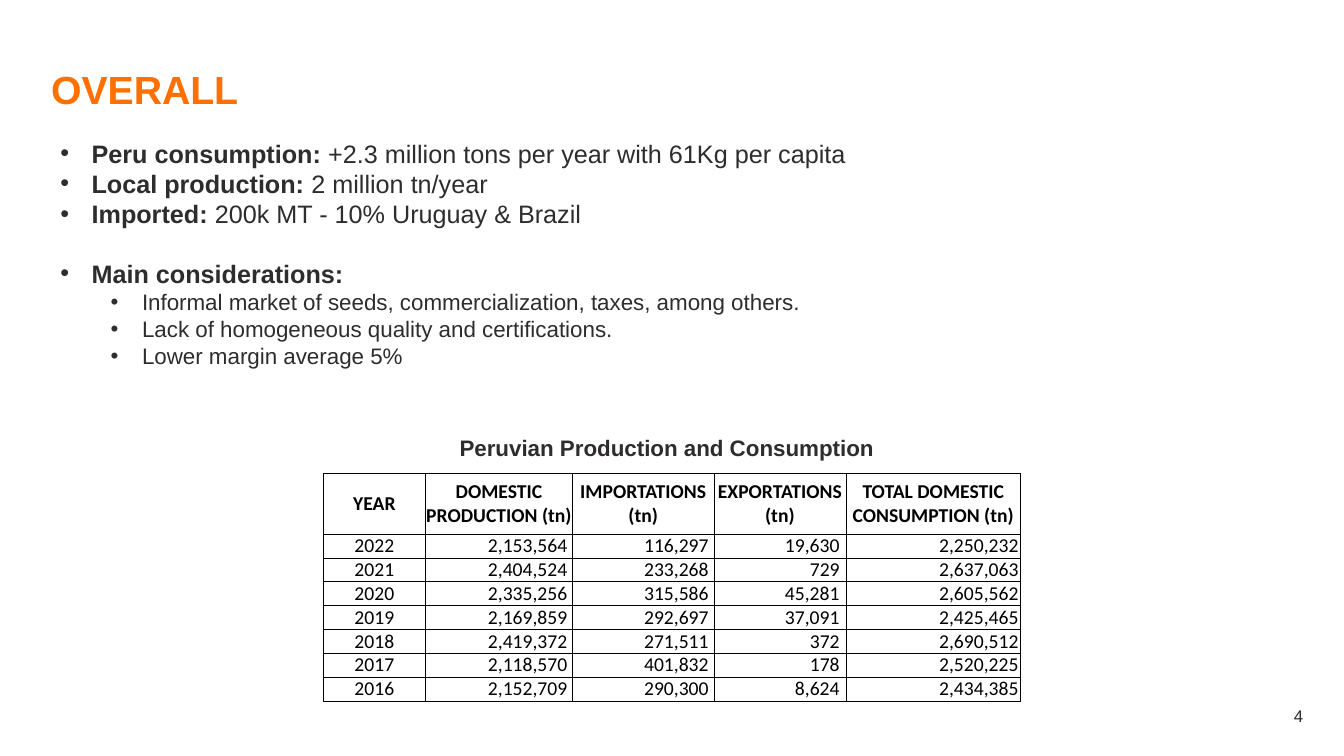
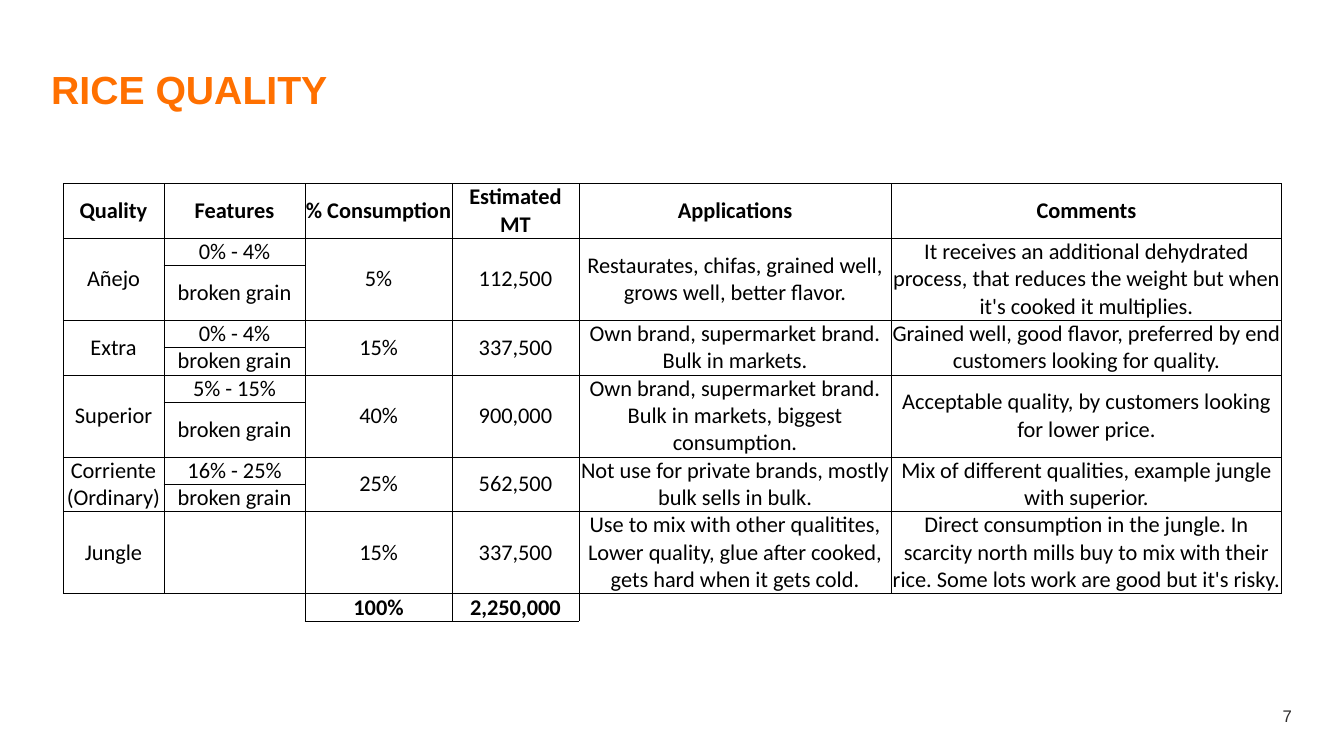
from dataclasses import dataclass

from lxml.etree import SubElement
from pptx import Presentation
from pptx.dml.color import RGBColor
from pptx.enum.text import MSO_ANCHOR, PP_ALIGN
from pptx.oxml import parse_xml
from pptx.oxml.ns import nsdecls, qn
from pptx.slide import Slide
from pptx.table import Table, _Cell
from pptx.text.text import TextFrame, _Paragraph
from pptx.util import Cm, Pt

ORANGE = RGBColor(0xFF, 0x70, 0x00)
GREY = RGBColor(0x2E, 0x2C, 0x2C)
BLACK = RGBColor(0x00, 0x00, 0x00)
SANS = "Arial"
GRID = "Calibri"
NO_STYLE = "{2D5ABB26-0587-4C30-8999-92F81FD0307C}"


@dataclass(frozen=True)
class Box:
    left: float
    top: float
    width: float
    height: float


@dataclass(frozen=True)
class Point:
    lead: str
    text: str = ""
    level: int = 0
    gap: float = 0


@dataclass(frozen=True)
class Grade:
    name: str
    range: str
    share: str
    tons: str
    uses: str
    notes: str
    lower: float  # height of the second line of the row


TITLE = Box(1.04, 1.65, 31.8, 1.42)

POINTS = [
    Point("Peru consumption:", " +2.3 million tons per year with 61Kg per capita"),
    Point("Local production:", " 2 million tn/year"),
    Point("Imported:", " 200k MT - 10% Uruguay & Brazil"),
    Point("Main considerations:", gap=21),
    Point("", "Informal market of seeds, commercialization, taxes, among others.", 1),
    Point("", "Lack of homogeneous quality and certifications.", 1),
    Point("", "Lower margin average 5%", 1),
]

TRADE = [
    ("YEAR", "DOMESTIC PRODUCTION (tn)", "IMPORTATIONS (tn)",
     "EXPORTATIONS (tn)", "TOTAL DOMESTIC CONSUMPTION (tn)"),
    ("2022", "2,153,564", "116,297", "19,630", "2,250,232"),
    ("2021", "2,404,524", "233,268", "729", "2,637,063"),
    ("2020", "2,335,256", "315,586", "45,281", "2,605,562"),
    ("2019", "2,169,859", "292,697", "37,091", "2,425,465"),
    ("2018", "2,419,372", "271,511", "372", "2,690,512"),
    ("2017", "2,118,570", "401,832", "178", "2,520,225"),
    ("2016", "2,152,709", "290,300", "8,624", "2,434,385"),
]
TRADE_COLS = [2.57, 3.71, 3.56, 3.33, 4.4]
TRADE_PADS = [0, 0.13, 0.13, 0.16, 0.05]

HEADS = ("Quality", "Features", "% Consumption", "Estimated MT",
         "Applications", "Comments")
GRADES = [
    Grade("Añejo", "0% - 4%", "5%", "112,500",
          "Restaurates, chifas, grained well, grows well, better flavor.",
          "It receives an additional dehydrated process, that reduces the weight "
          "but when it's cooked it multiplies.", 1.38),
    Grade("Extra", "0% - 4%", "15%", "337,500",
          "Own brand, supermarket brand. Bulk in markets.",
          "Grained well, good flavor, preferred by end customers looking "
          "for quality.", 0.69),
    Grade("Superior", "5% - 15%", "40%", "900,000",
          "Own brand, supermarket brand. Bulk in markets, biggest consumption.",
          "Acceptable quality, by customers looking for lower price.", 1.38),
    Grade("Corriente (Ordinary)", "16% - 25%", "25%", "562,500",
          "Not use for private brands, mostly bulk sells in bulk.",
          "Mix of different qualities, example jungle with superior.", 0.69),
]
JUNGLE = ("Jungle", "", "15%", "337,500",
          "Use to mix with other qualitites, Lower quality, glue after cooked, "
          "gets hard when it gets cold.",
          "Direct consumption in the jungle. In scarcity north mills buy to mix "
          "with their rice. Some lots work are good but it's risky.")
TOTALS = ("", "", "100%", "2,250,000", "", "")
GRADE_COLS = [2.54, 3.56, 3.7, 3.2, 7.87, 9.84]
LINE = 0.69


# Text
def style(para: _Paragraph, size: float, color: RGBColor,
          bold: bool | None = False, face: str = SANS) -> None:
    font = para.font
    font.name, font.size, font.bold = face, Pt(size), bold
    font.color.rgb = color


def add_frame(slide: Slide, box: Box, inset: bool = True) -> TextFrame:
    shape = slide.shapes.add_textbox(
        Cm(box.left), Cm(box.top), Cm(box.width), Cm(box.height))
    frame = shape.text_frame
    frame.word_wrap = True
    if not inset:
        frame.margin_left = frame.margin_right = 0
        frame.margin_top = frame.margin_bottom = 0
    return frame


def add_label(slide: Slide, box: Box, text: str, size: float, color: RGBColor,
              bold: bool = False, align: PP_ALIGN = PP_ALIGN.LEFT,
              inset: bool = True) -> _Paragraph:
    para = add_frame(slide, box, inset).paragraphs[0]
    para.text = text
    para.alignment = align
    style(para, size, color, bold)
    return para


def add_points(slide: Slide, box: Box, points: list[Point]) -> None:
    frame = add_frame(slide, box)
    for index, point in enumerate(points):
        para = frame.add_paragraph() if index else frame.paragraphs[0]
        para.level = point.level
        if point.gap:
            para.space_before = Pt(point.gap)
        props = para._p.get_or_add_pPr()
        props.set("marL", str(Cm(0.79 + 1.27 * point.level)))
        props.set("indent", str(-Cm(0.79)))
        SubElement(props, qn("a:buFont")).set("typeface", SANS)
        SubElement(props, qn("a:buChar")).set("char", "•")
        for text, bold in ((point.lead, True), (point.text, False)):
            if text:
                run = para.add_run()
                run.text = text
                run.font.bold = bold
        style(para, 16 if point.level else 18, GREY, None)


# Tables
def rule(cell: _Cell, sides: str) -> None:
    props = cell._tc.get_or_add_tcPr()
    for index, side in enumerate(s for s in "LRTB" if s in sides):
        props.insert(index, parse_xml(
            f'<a:ln{side} {nsdecls("a")} w="{Pt(0.5)}"><a:solidFill>'
            f'<a:srgbClr val="{BLACK}"/></a:solidFill></a:ln{side}>'))


def fill(cell: _Cell, text: str, size: float, bold: bool = False,
         align: PP_ALIGN = PP_ALIGN.CENTER, pad: float = 0,
         sides: str = "LRTB") -> None:
    cell.margin_left = cell.margin_top = cell.margin_bottom = 0
    cell.margin_right = Cm(pad)
    cell.vertical_anchor = MSO_ANCHOR.MIDDLE
    cell.fill.background()
    rule(cell, sides)
    para = cell.text_frame.paragraphs[0]
    para.text = text
    para.alignment = align
    style(para, size, BLACK, bold, GRID)
    if not text:
        SubElement(para._p, qn("a:endParaRPr")).set("sz", str(size * 100))


def add_grid(slide: Slide, left: float, top: float, cols: list[float],
             rows: list[float]) -> Table:
    frame = slide.shapes.add_table(len(rows), len(cols), Cm(left), Cm(top),
                                   Cm(sum(cols)), Cm(sum(rows)))
    table = frame.table
    table.first_row = table.horz_banding = False
    table._tbl.tblPr.find(qn("a:tableStyleId")).text = NO_STYLE
    for col, width in zip(table.columns, cols):
        col.width = Cm(width)
    for row, height in zip(table.rows, rows):
        row.height = Cm(height)
    return table


def add_trade(slide: Slide) -> None:
    rows = [1.53] + [0.6] * (len(TRADE) - 1)
    table = add_grid(slide, 8.15, 11.93, TRADE_COLS, rows)
    for y, values in enumerate(TRADE):
        for x, text in enumerate(values):
            number = y > 0 and x > 0
            fill(table.cell(y, x), text, 14, bold=y == 0,
                 align=PP_ALIGN.RIGHT if number else PP_ALIGN.CENTER,
                 pad=TRADE_PADS[x] if number else 0)


def add_grades(slide: Slide) -> None:
    rows = [2 * LINE]
    for grade in GRADES:
        rows += [LINE, grade.lower]
    rows += [3 * LINE, LINE]
    table = add_grid(slide, 1.59, 4.62, GRADE_COLS, rows)

    # Header, last grade and totals
    last = len(rows) - 1
    for y, values in ((0, HEADS), (last - 1, JUNGLE), (last, TOTALS)):
        for x, text in enumerate(values):
            blank = y == last and not text
            fill(table.cell(y, x), text, 16, bold=y in (0, last),
                 sides="T" if blank else "LRTB")

    # Grades on two lines, merged except for the features
    for index, grade in enumerate(GRADES):
        y = 1 + 2 * index
        upper = (grade.name, grade.range, grade.share, grade.tons,
                 grade.uses, grade.notes)
        for x, text in enumerate(upper):
            split = x == 1
            cell, below = table.cell(y, x), table.cell(y + 1, x)
            fill(cell, text, 16, sides="LRT" if split else "LRTB")
            fill(below, "broken grain" if split else "", 16, sides="LRB")
            if not split:
                cell.merge(below)


# Slides
def add_page(deck: Presentation, title: str, number: str, right: float) -> Slide:
    slide = deck.slides.add_slide(deck.slide_layouts[6])
    add_label(slide, Box(right - 7.62, 17.78, 7.62, 0.46), number, 12, GREY,
              align=PP_ALIGN.RIGHT, inset=False)
    add_label(slide, TITLE, title, 28, ORANGE, bold=True).line_spacing = 0.9
    return slide


def main() -> None:
    deck = Presentation()
    deck.slide_width, deck.slide_height = Cm(33.87), Cm(19.05)

    page = add_page(deck, "OVERALL", "4", 32.84)
    add_points(page, Box(1.27, 3.35, 28.85, 6.15), POINTS)
    add_trade(page)
    add_label(page, Box(9.63, 10.82, 14.35, 0.94),
              "Peruvian Production and Consumption", 16, GREY, bold=True,
              align=PP_ALIGN.CENTER)

    page = add_page(deck, "RICE QUALITY", "7", 32.56)
    add_grades(page)

    deck.save("out.pptx")


if __name__ == "__main__":
    main()
